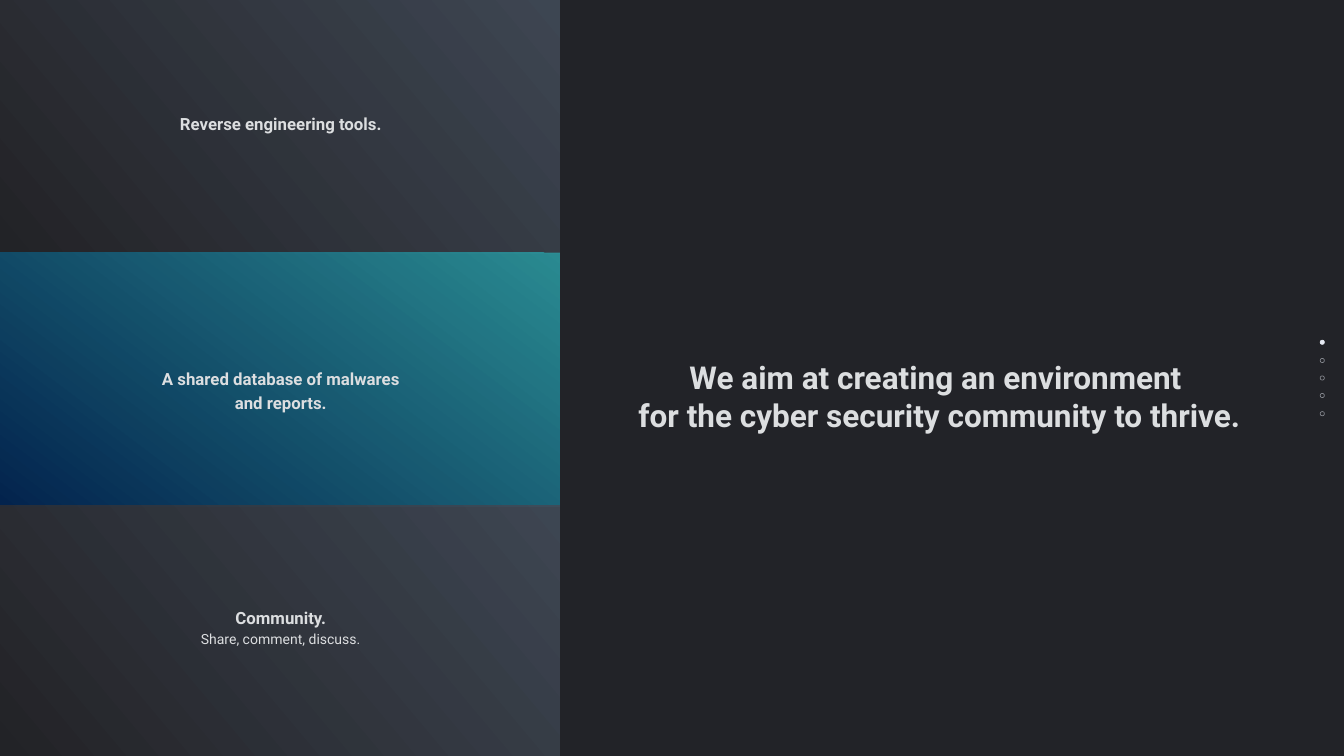
"""Builds the mission slide: three gradient panels, a headline and page dots."""
from lxml.etree import SubElement
from pptx import Presentation
from pptx.dml.color import RGBColor
from pptx.enum.shapes import MSO_SHAPE
from pptx.enum.text import MSO_ANCHOR, MSO_AUTO_SIZE, PP_ALIGN
from pptx.oxml.ns import qn
from pptx.util import Pt

PX = 12700
FONT = "Roboto"
COLORS = {
    "background": "222328",
    "text": "DCDEE0",
    "dot": "E6EAF3",
    "charcoal": "232327",
    "slate": "414A57",
    "teal": "2B969D",
    "navy": "002452",
}
GRAY = ("charcoal", "slate", 40)
BLUE = ("teal", "navy", 233)
PANELS = [
    {"gradient": GRAY, "top": 153, "height": 37,
     "lines": [("Reverse engineering tools.", 24, True)]},
    {"gradient": BLUE, "top": 517, "height": 72,
     "lines": [("A shared database of malwares and reports.", 24, True)]},
    {"gradient": GRAY, "top": 858, "height": 67,
     "lines": [("Community.", 24, True), ("Share, comment, discuss.", 20, False)]},
]
HEADLINE = [
    ("We aim at creating an environment ", 45, True),
    ("for the cyber security community to thrive.", 45, True),
]
SLIDE_W, SLIDE_H = 1920, 1080
PANEL_W, PANEL_H, PANEL_STEP = 800, 362, 361
TEXT_X, TEXT_W = 215, 372
HEADLINE_BOX = (881, 508, 922, 116)
DOT_X, DOT_Y, DOT_SIZE, DOT_SPAN, DOT_COUNT = 1886, 486, 6, 102, 5


def rgb(name):
    return RGBColor.from_string(COLORS[name])


def emu(*lengths):
    return [length * PX for length in lengths]


def set_alpha(element, percent):
    for color in element.iter(qn("a:srgbClr")):
        SubElement(color, qn("a:alpha"), val=str(percent * 1000))


def add_shape(s, kind, *box):
    sp = s.shapes.add_shape(kind, *emu(*box))
    sp.shadow.inherit = False
    return sp


def add_dot(s, y, active):
    sp = add_shape(s, MSO_SHAPE.OVAL, DOT_X, y, DOT_SIZE, DOT_SIZE)
    sp.line.color.rgb = rgb("dot")
    sp.line.width = Pt(1)
    if active:
        sp.fill.solid()
        sp.fill.fore_color.rgb = rgb("dot")
    else:
        sp.fill.background()
        set_alpha(sp.element.spPr, 51)


def add_panel(s, y, gradient):
    start, end, angle = gradient
    sp = add_shape(s, MSO_SHAPE.RECTANGLE, 0, y, PANEL_W, PANEL_H)
    sp.line.fill.background()
    sp.fill.gradient()
    sp.fill.gradient_angle = angle
    for stop, name in zip(sp.fill.gradient_stops, (start, end)):
        stop.color.rgb = rgb(name)
    set_alpha(sp.element.spPr, 90)


def add_text(s, box, lines, spacing=None, wrap=True, anchor=MSO_ANCHOR.TOP):
    tf = s.shapes.add_textbox(*emu(*box)).text_frame
    tf.word_wrap = wrap
    tf.auto_size = MSO_AUTO_SIZE.SHAPE_TO_FIT_TEXT
    tf.vertical_anchor = anchor
    tf.margin_left = tf.margin_right = tf.margin_top = tf.margin_bottom = 4 * PX
    tf.text = "\n".join(text for text, _, _ in lines)
    for p, (_, size, bold) in zip(tf.paragraphs, lines):
        p.alignment = PP_ALIGN.CENTER
        p.line_spacing = spacing
        font = p.runs[0].font
        font.name, font.size, font.bold = FONT, Pt(size), bold
        font.color.rgb = rgb("text")


def main():
    prs = Presentation()
    prs.slide_width, prs.slide_height = emu(SLIDE_W, SLIDE_H)
    s = prs.slides.add_slide(prs.slide_layouts[6])
    s.background.fill.solid()
    s.background.fill.fore_color.rgb = rgb("background")
    for i in range(DOT_COUNT):
        add_dot(s, DOT_Y + round(i * DOT_SPAN / (DOT_COUNT - 1)), i == 0)
    for i, panel in enumerate(PANELS):
        add_panel(s, i * PANEL_STEP, panel["gradient"])
        box = (TEXT_X, panel["top"], TEXT_W, panel["height"])
        add_text(s, box, panel["lines"], spacing=1.2)
    add_text(s, HEADLINE_BOX, HEADLINE, wrap=False, anchor=MSO_ANCHOR.MIDDLE)
    prs.save("out.pptx")


if __name__ == "__main__":
    main()
